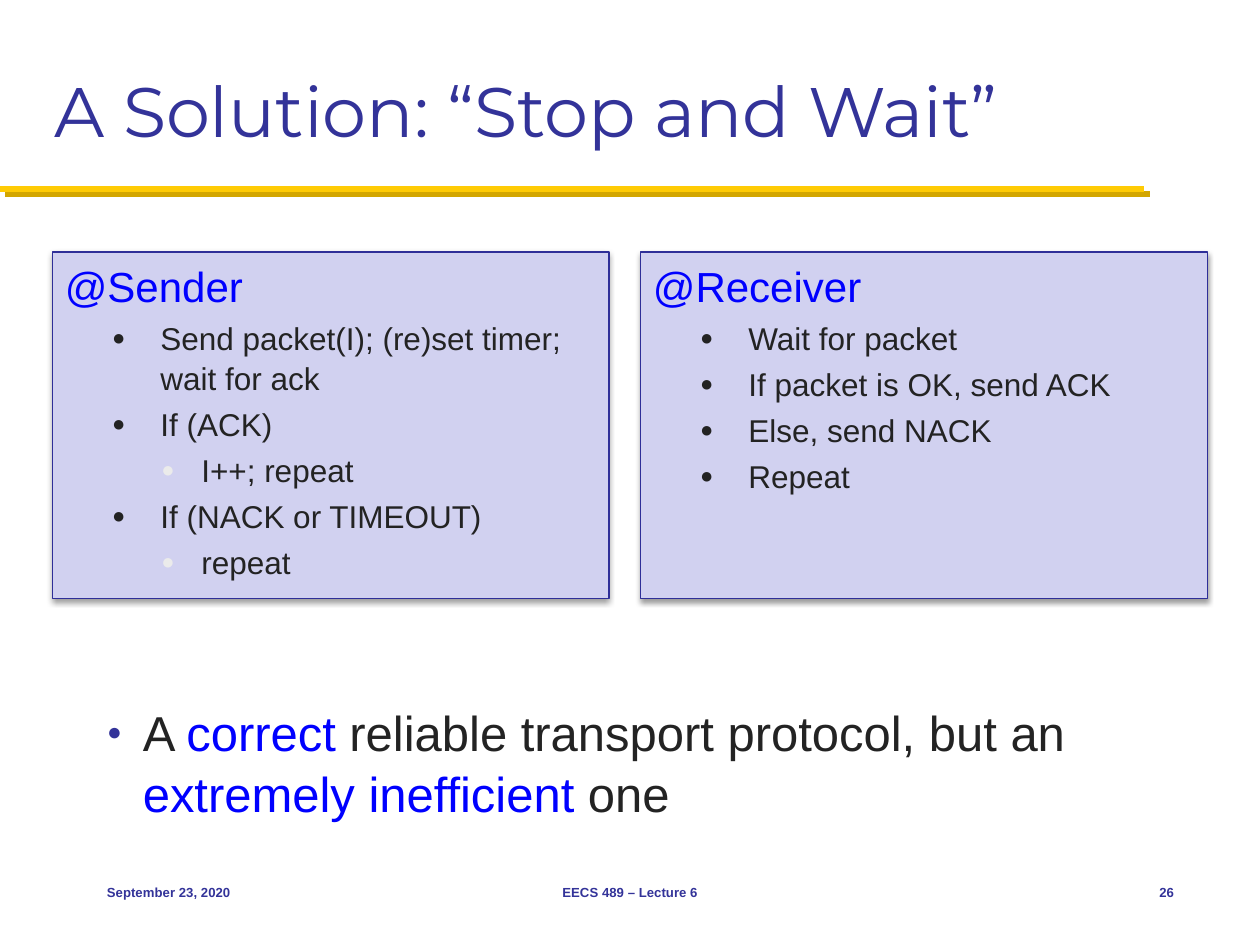
import pptx
import pptx.util
import pptx.dml.color
import pptx.enum.shapes
import pptx.enum.text
import pptx.oxml
import pptx.oxml.ns

Pt = pptx.util.Pt
RGBColor = pptx.dml.color.RGBColor
PP_ALIGN = pptx.enum.text.PP_ALIGN
MSO_ANCHOR = pptx.enum.text.MSO_ANCHOR

INDIGO = RGBColor(0x33, 0x33, 0x99)
BORDER = RGBColor(0x2F, 0x2F, 0x98)
LAVENDER = RGBColor(0xD1, 0xD1, 0xF0)
GOLD = RGBColor(0xFF, 0xCB, 0x05)
DARK_GOLD = RGBColor(0xD3, 0xA6, 0x00)
BLACK = RGBColor(0, 0, 0)
INK = RGBColor(0x23, 0x23, 0x23)
BLUE = RGBColor(0, 0, 0xFF)
PALE = RGBColor(0xEB, 0xEB, 0xEB)

# Box bullets by level: left margin, hanging indent, bullet colour
LEVELS = {1: (91, 46, INK), 2: (130, 38, PALE)}

SENDER = [
    (1, "Send packet(I); (re)set timer; wait for ack"),
    (1, "If (ACK)"),
    (2, "I++; repeat"),
    (1, "If (NACK or TIMEOUT)"),
    (2, "repeat"),
]
RECEIVER = [
    (1, "Wait for packet"),
    (1, "If packet is OK, send ACK"),
    (1, "Else, send NACK"),
    (1, "Repeat"),
]
CONCLUSION = [
    ("A ", INK),
    ("correct", BLUE),
    (" reliable transport protocol, but an ", INK),
    ("extremely inefficient ", BLUE),
    ("one", INK),
]


def px(n):
    """120 px to the inch."""
    return pptx.util.Emu(n * 7620)


def append_xml(parent, tag, content="", attrs=""):
    ns = pptx.oxml.ns.nsdecls("a")
    xml = f"<a:{tag} {ns} {attrs}>{content}</a:{tag}>"
    parent.append(pptx.oxml.parse_xml(xml))


def set_shadow(sp, color, alpha, blur, dist, angle):
    spPr = sp._element.spPr
    for old in spPr.findall(pptx.oxml.ns.qn("a:effectLst")):
        spPr.remove(old)
    shadow = (f'<a:outerShdw blurRad="{Pt(blur)}" dist="{Pt(dist)}" '
              f'dir="{angle * 60000}" algn="ctr" rotWithShape="0">'
              f'<a:srgbClr val="{color}"><a:alpha val="{alpha * 1000}"/>'
              f'</a:srgbClr></a:outerShdw>')
    append_xml(spPr, "effectLst", shadow)


def format_run(r, size, color, name="Arial", bold=False):
    r.font.size = Pt(size)
    r.font.name = name
    r.font.bold = bold
    r.font.color.rgb = color


def set_spacing(p, size):
    p.alignment = PP_ALIGN.LEFT
    p.line_spacing = 1.05
    p.space_before = Pt(size * 0.2)


def set_bullet(p, margin, hanging, color, percent):
    pPr = p._p.get_or_add_pPr()
    pPr.set("marL", str(px(margin)))
    pPr.set("indent", str(px(-hanging)))
    append_xml(pPr, "buClr", f'<a:srgbClr val="{color}"/>')
    append_xml(pPr, "buSzPct", attrs=f'val="{percent * 1000}"')
    append_xml(pPr, "buFont", attrs='typeface="Arial"')
    append_xml(pPr, "buChar", attrs='char="●"')


def place(sp, x, y, w, h, anchor):
    sp.left, sp.top, sp.width, sp.height = px(x), px(y), px(w), px(h)
    tf = sp.text_frame
    tf.word_wrap = True
    tf.auto_size = pptx.enum.text.MSO_AUTO_SIZE.NONE
    tf.vertical_anchor = anchor
    return tf


def add_title(s, text):
    tf = place(s.shapes.title, 40, 20, 1120, 130, MSO_ANCHOR.BOTTOM)
    tf.text = text
    p = tf.paragraphs[0]
    p.alignment = PP_ALIGN.LEFT
    format_run(p.runs[0], 40, INDIGO, "Montserrat")


def add_rule(s):
    line = s.shapes.add_connector(
        pptx.enum.shapes.MSO_CONNECTOR.STRAIGHT, 0, px(180), px(1090), px(180))
    line.line.color.rgb = GOLD
    line.line.width = Pt(3.5)
    set_shadow(line, DARK_GOLD, 100, 0, 4.2, 45)


def add_conclusion(s, parts):
    tf = place(s.placeholders[1], 90, 660, 1060, 130, MSO_ANCHOR.TOP)
    p = tf.paragraphs[0]
    set_spacing(p, 28)
    set_bullet(p, 34, 34, INDIGO, 50)
    for text, color in parts:
        r = p.add_run()
        r.text = text
        format_run(r, 28, color)


def add_box(s, x, w, heading, steps):
    sp = s.shapes.add_shape(pptx.enum.shapes.MSO_SHAPE.RECTANGLE,
                            px(x), px(240), px(w), px(330))
    sp.fill.solid()
    sp.fill.fore_color.rgb = LAVENDER
    sp.line.color.rgb = BORDER
    sp.line.width = Pt(0.75)
    set_shadow(sp, BLACK, 38, 3.1, 1.6, 90)
    tf = place(sp, x, 240, w, 330, MSO_ANCHOR.TOP)
    tf.text = heading
    p = tf.paragraphs[0]
    set_spacing(p, 24)
    format_run(p.runs[0], 24, BLUE)
    for level, text in steps:
        p = tf.add_paragraph()
        p.text = text
        p.level = level
        set_spacing(p, 18)
        set_bullet(p, *LEVELS[level], 70)
        format_run(p.runs[0], 18, INK)


def add_footer(s, x, w, text, align):
    sp = s.shapes.add_textbox(px(x), px(820), px(w), px(60))
    tf = place(sp, x, 820, w, 60, MSO_ANCHOR.MIDDLE)
    tf.text = text
    p = tf.paragraphs[0]
    p.alignment = align
    format_run(p.runs[0], 7.5, INDIGO, bold=True)


def main():
    prs = pptx.Presentation()
    prs.slide_width, prs.slide_height = px(1200), px(900)
    s = prs.slides.add_slide(prs.slide_layouts[1])

    # Heading
    add_rule(s)
    add_title(s, "A Solution: “Stop and Wait”")

    # Content
    add_conclusion(s, CONCLUSION)
    add_box(s, 50, 530, "@Sender", SENDER)
    add_box(s, 610, 540, "@Receiver", RECEIVER)

    # Footer
    add_footer(s, 90, 250, "September 23, 2020", PP_ALIGN.LEFT)
    add_footer(s, 410, 380, "EECS 489 – Lecture 6", PP_ALIGN.CENTER)
    add_footer(s, 1050, 80, "26", PP_ALIGN.RIGHT)

    prs.save("out.pptx")


if __name__ == "__main__":
    main()
